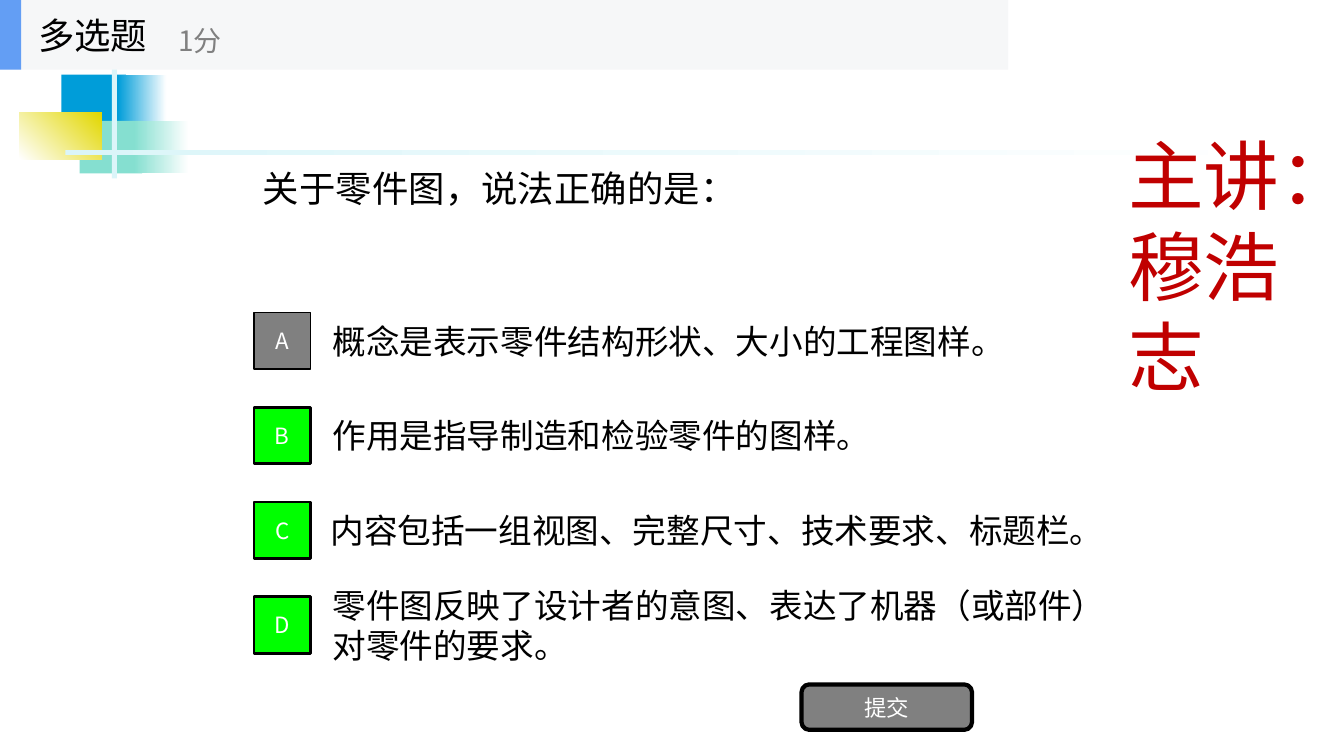
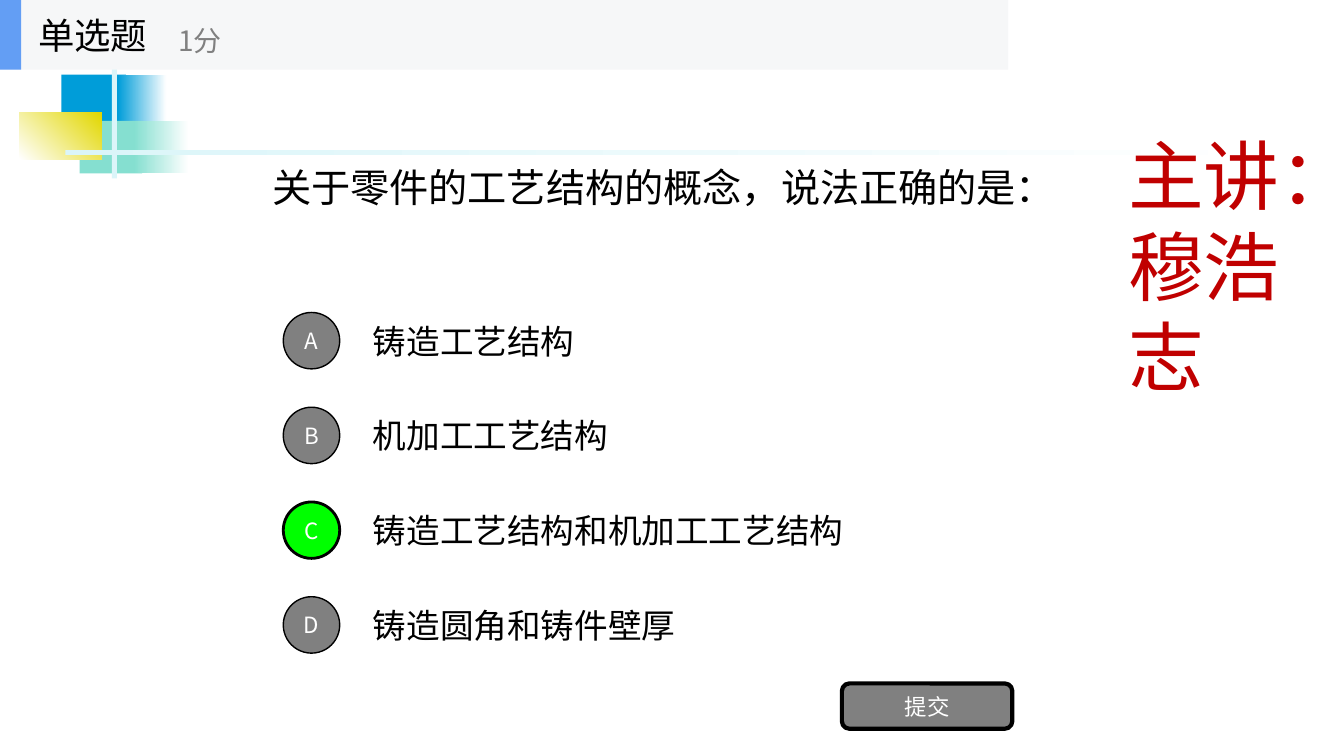
from dataclasses import dataclass

from pptx import Presentation
from pptx.dml.color import RGBColor
from pptx.enum.shapes import MSO_SHAPE
from pptx.enum.text import MSO_ANCHOR, PP_ALIGN
from pptx.oxml.ns import qn
from pptx.util import Inches, Pt

RECT = MSO_SHAPE.RECTANGLE
OVAL = MSO_SHAPE.OVAL
ROUND = MSO_SHAPE.ROUNDED_RECTANGLE
TOP = MSO_ANCHOR.TOP
MIDDLE = MSO_ANCHOR.MIDDLE
LEFT = PP_ALIGN.LEFT
CENTER = PP_ALIGN.CENTER

BLACK = RGBColor(0x00, 0x00, 0x00)
WHITE = RGBColor(0xFF, 0xFF, 0xFF)
GRAY = RGBColor(0x80, 0x80, 0x80)
GREEN = RGBColor(0x00, 0xFF, 0x00)
RED = RGBColor(0xC0, 0x00, 0x00)
BLUE = RGBColor(0x00, 0x9D, 0xD9)
TEAL = RGBColor(0x85, 0xDF, 0xD0)
YELLOW = RGBColor(0xE2, 0xD7, 0x00)
PALE = RGBColor(0xDB, 0xF5, 0xF9)
BAND = RGBColor(0xF6, 0xF7, 0xF8)
ACCENT = RGBColor(0x63, 0x9E, 0xF4)

SANS = "Noto Sans CJK SC"
ARIAL = "Arial"
STEP = 0.94
SIDE = 0.56


@dataclass
class Box:
    left: float
    top: float
    width: float
    height: float

    def place(self):
        return [Inches(v) for v in (self.left, self.top, self.width, self.height)]


@dataclass
class Style:
    size: float
    color: RGBColor = BLACK
    font: str = SANS
    anchor: int = MIDDLE
    align: int = LEFT


@dataclass
class Block:
    box: Box
    start: RGBColor
    end: RGBColor | None = None
    angle: float = 0


@dataclass
class Option:
    text: str
    right: bool = False
    width: float = 7
    shift: float = 0


@dataclass
class Quiz:
    kind: str
    ask: str
    ask_box: Box
    ask_style: Style
    mark: int
    mark_left: float
    text_left: float
    button: Box
    options: list[Option]


DECOR = [
    Block(Box(0.61, 0.74, 0.64, 0.52), BLUE),
    Block(Box(1.17, 0.74, 0.48, 0.52), BLUE, WHITE),
    Block(Box(0.79, 1.2, 0.62, 0.52), TEAL),
    Block(Box(1.33, 1.2, 0.54, 0.52), TEAL, WHITE),
    Block(Box(0.19, 1.12, 0.82, 0.46), WHITE, YELLOW, 45),
    Block(Box(1.11, 0.62, 0.05, 1.15), PALE),
    Block(Box(0.65, 1.49, 12, 0.05), PALE, WHITE),
]
HEAD = [
    Block(Box(0, 0, 10, 0.69), BAND),
    Block(Box(0, 0, 0.21, 0.69), ACCENT),
]

SPEAKER = Style(54, RED, anchor=TOP)
ANSWER = Style(24, font=ARIAL)
LABEL = Style(16, WHITE, align=CENTER)
TITLE = Style(26)
SCORE = Style(20, GRAY)

QUIZZES = [
    Quiz(
        "多选题", "关于零件图，说法正确的是：",
        Box(2.51, 0.69, 8, 2.34), Style(26), RECT, 2.52, 3.2,
        Box(7.95, 6.79, 1.69, 0.45),
        [
            Option("概念是表示零件结构形状、大小的工程图样。", width=8.31),
            Option("作用是指导制造和检验零件的图样。", True),
            Option("内容包括一组视图、完整尺寸、技术要求、标题栏。", True, 8.07, -0.02),
            Option("零件图反映了设计者的意图、表达了机器（或部件）对零件的要求。", True, 8.05),
        ],
    ),
    Quiz(
        "单选题", "关于零件的工艺结构的概念，说法正确的是：",
        Box(2.6, 0.68, 8.41, 2.34), Style(28, font=ARIAL), OVAL, 2.81, 3.6,
        Box(8.35, 6.78, 1.69, 0.45),
        [
            Option("铸造工艺结构"),
            Option("机加工工艺结构"),
            Option("铸造工艺结构和机加工工艺结构", True),
            Option("铸造圆角和铸件壁厚"),
        ],
    ),
]


def write(shape, text: str, style: Style, wrap: bool = True) -> None:
    frame = shape.text_frame
    frame.word_wrap = wrap
    frame.vertical_anchor = style.anchor
    para = frame.paragraphs[0]
    para.alignment = style.align
    run = para.add_run()
    run.text = text
    font = run.font
    font.size = Pt(style.size)
    font.color.rgb = style.color
    font.name = style.font
    east = run._r.get_or_add_rPr().makeelement(qn("a:ea"), {"typeface": SANS})
    run._r.rPr.find(qn("a:latin")).addnext(east)


def add_text(shapes, box: Box, text: str, style: Style) -> None:
    write(shapes.add_textbox(*box.place()), text, style)


def add_block(shapes, block: Block) -> None:
    shape = shapes.add_shape(RECT, *block.box.place())
    shape.shadow.inherit = False
    shape.line.fill.background()
    if block.end is None:
        shape.fill.solid()
        shape.fill.fore_color.rgb = block.start
        return
    shape.fill.gradient()
    shape.fill.gradient_angle = block.angle
    for stop, color in zip(shape.fill.gradient_stops, (block.start, block.end)):
        stop.color.rgb = color


def add_key(shapes, kind: int, box: Box, text: str, fill: RGBColor, line: float) -> None:
    shape = shapes.add_shape(kind, *box.place())
    shape.shadow.inherit = False
    shape.fill.solid()
    shape.fill.fore_color.rgb = fill
    shape.line.color.rgb = BLACK
    shape.line.width = Pt(line)
    write(shape, text, LABEL, wrap=False)


def add_head(shapes, kind: str) -> None:
    group = shapes.add_group_shape().shapes
    for block in HEAD:
        add_block(group, block)
    add_text(group, Box(0.28, 0, 2.08, 0.69), kind, TITLE)
    add_text(group, Box(1.67, 0.12, 2.5, 0.56), "1分", SCORE)


def add_quiz(deck, quiz: Quiz) -> None:
    shapes = deck.slides.add_slide(deck.slide_layouts[6]).shapes
    for block in DECOR:
        add_block(shapes, block)
    add_text(shapes, Box(11.09, 1.23, 2.02, 0.32), "主讲：穆浩志", SPEAKER)
    add_text(shapes, quiz.ask_box, quiz.ask, quiz.ask_style)
    for row, (letter, option) in enumerate(zip("ABCD", quiz.options)):
        top = 3.03 + row * STEP
        box = Box(quiz.text_left + option.shift, top, option.width, 0.7)
        add_text(shapes, box, option.text, ANSWER)
        mark = Box(quiz.mark_left, top + 0.07, SIDE, SIDE)
        fill, line = (GREEN, 2) if option.right else (GRAY, 1)
        add_key(shapes, quiz.mark, mark, letter, fill, line)
    add_key(shapes, ROUND, quiz.button, "提交", GRAY, 3)
    add_head(shapes, quiz.kind)


def main() -> None:
    deck = Presentation()
    deck.slide_width = Inches(13.33)
    deck.slide_height = Inches(7.5)
    for quiz in QUIZZES:
        add_quiz(deck, quiz)
    deck.save("out.pptx")


if __name__ == "__main__":
    main()
